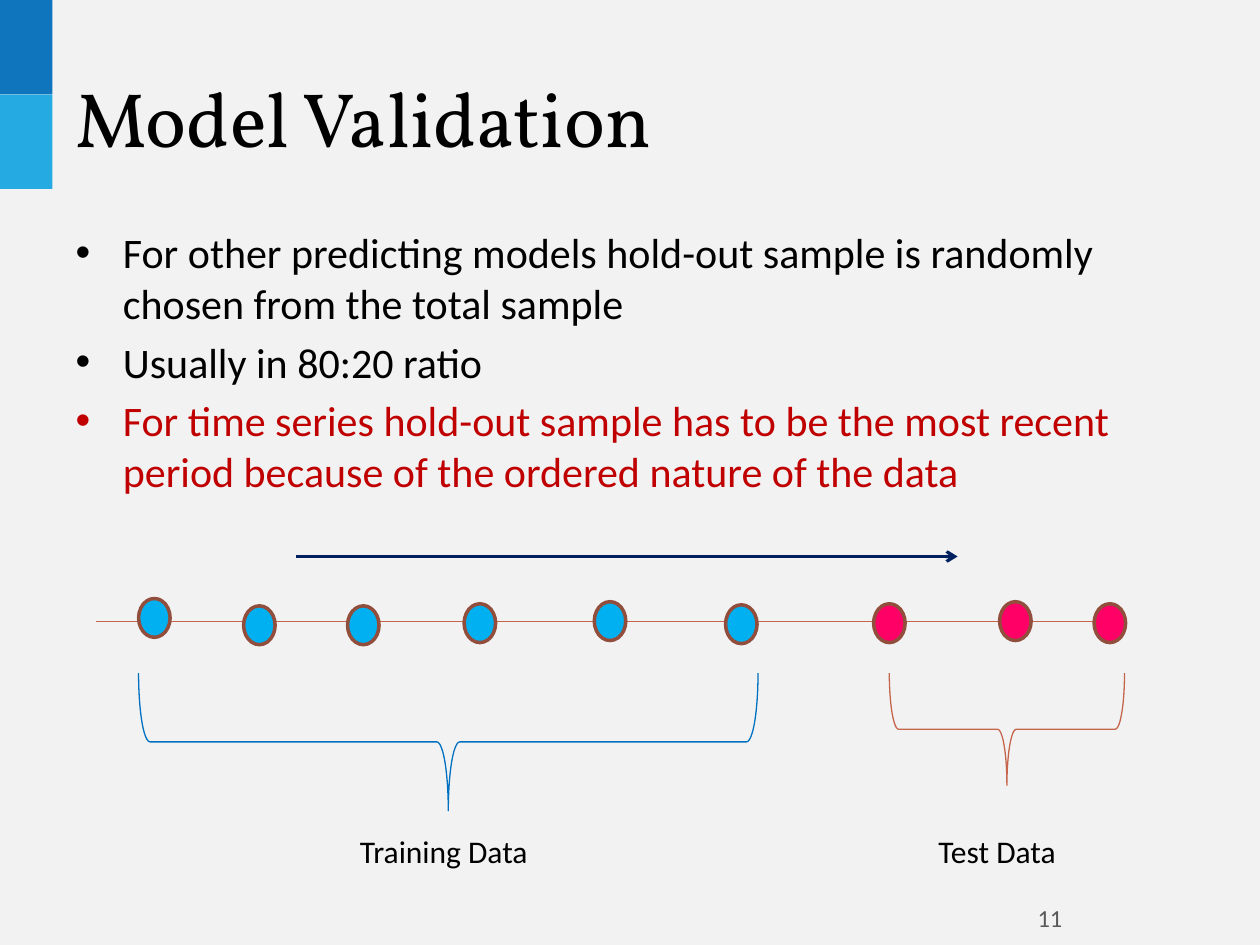
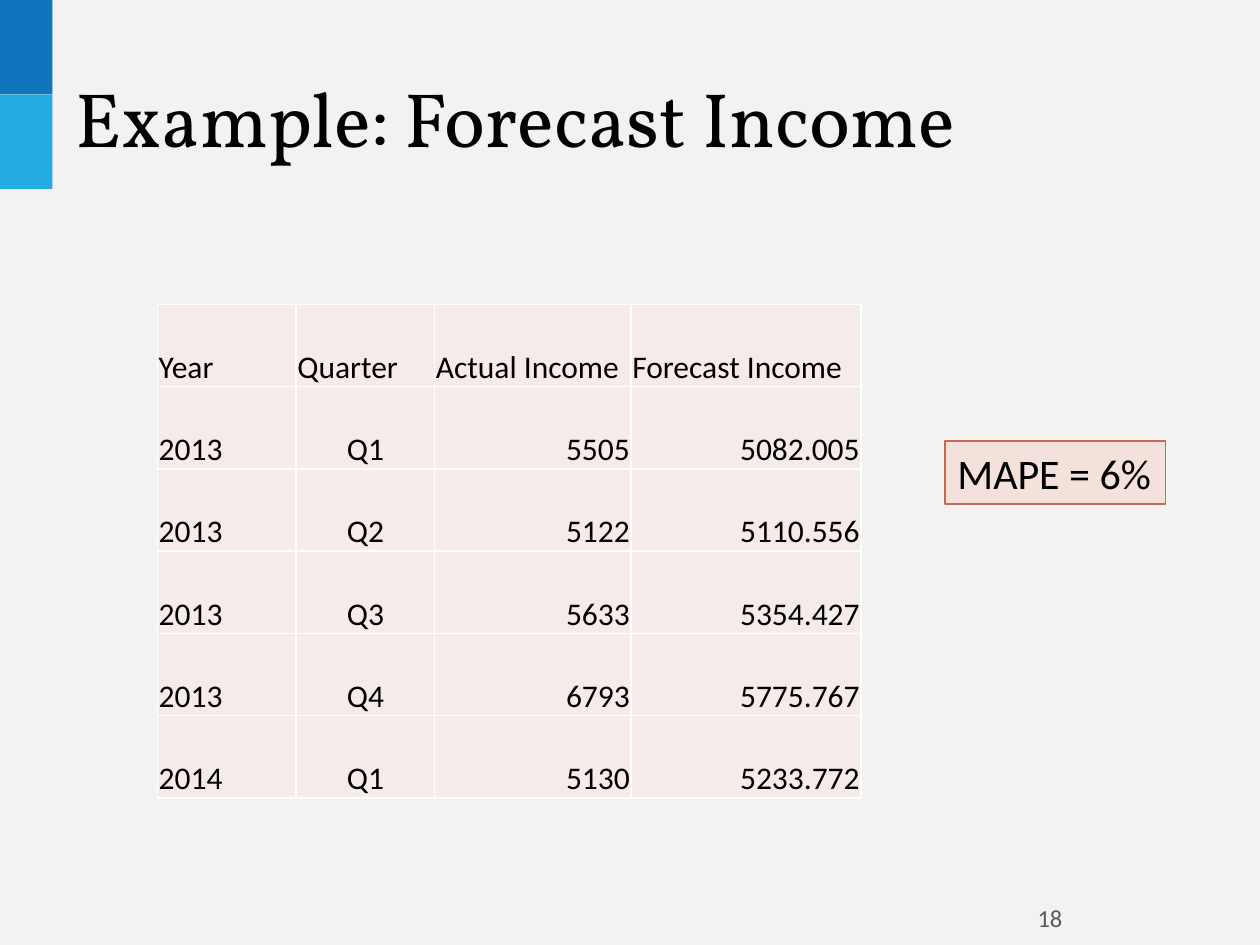
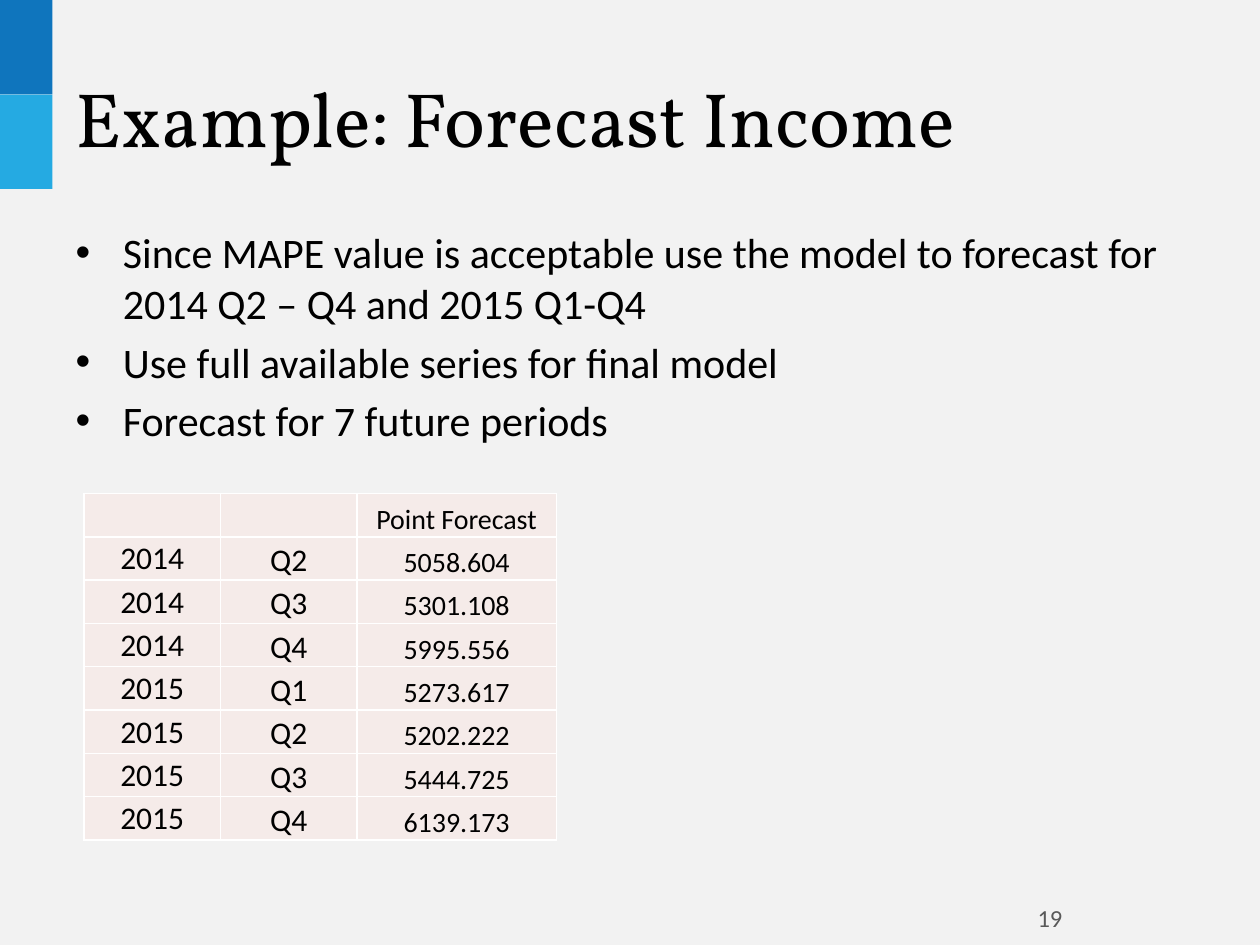
from pptx import Presentation
from pptx.dml.color import RGBColor
from pptx.enum.shapes import MSO_CONNECTOR, MSO_SHAPE
from pptx.enum.text import MSO_ANCHOR, MSO_AUTO_SIZE, PP_ALIGN
from pptx.oxml.ns import qn
from pptx.util import Inches, Pt
from lxml.etree import SubElement

BLACK = RGBColor(0x00, 0x00, 0x00)
WHITE = RGBColor(0xFF, 0xFF, 0xFF)
PAPER = RGBColor(0xF2, 0xF2, 0xF2)
GRAY = RGBColor(0x59, 0x59, 0x59)
BLUE = RGBColor(0x0F, 0x75, 0xBD)
SKY = RGBColor(0x25, 0xAA, 0xE2)
NAVY = RGBColor(0x00, 0x20, 0x60)
RED = RGBColor(0xC0, 0x00, 0x00)
RUST = RGBColor(0xC4, 0x65, 0x4C)
BROWN = RGBColor(0x92, 0x4E, 0x3C)
CYAN = RGBColor(0x00, 0xB0, 0xF0)
PINK = RGBColor(0xFF, 0x00, 0x66)
AZURE = RGBColor(0x00, 0x70, 0xC0)
BLUSH = RGBColor(0xF4, 0xE1, 0xDC)
EDGE = RGBColor(0xC6, 0x69, 0x51)
ROSE = RGBColor(0xF5, 0xEB, 0xE9)

SERIF, SANS = "Vollkorn", "Calibri"
COLS, ROWS = 120, 90
LEFT, MID, RIGHT = PP_ALIGN.LEFT, PP_ALIGN.CENTER, PP_ALIGN.RIGHT
LOW, HALF = MSO_ANCHOR.BOTTOM, MSO_ANCHOR.MIDDLE


class Deck:
    """Holds the style and the current slide; lengths are grid columns and rows."""

    def __init__(self):
        """Set the slide size and the shared background."""
        self.prs = Presentation()
        self.prs.slide_width, self.prs.slide_height = Inches(10), Inches(7.5)
        self.master = self.prs.slide_master
        fill = self.master.background.fill
        fill.solid()
        fill.fore_color.rgb = PAPER
        self.slide = None

    def x(self, cols):
        """Turn columns into a length."""
        return round(self.prs.slide_width * cols / COLS)

    def y(self, rows):
        """Turn rows into a length."""
        return round(self.prs.slide_height * rows / ROWS)

    def box(self, left, top, wide, high):
        """Turn a grid box into lengths."""
        return self.x(left), self.y(top), self.x(wide), self.y(high)

    def place(self, item, *area):
        """Move an element to a grid box."""
        item.left, item.top, item.width, item.height = self.box(*area)

    def font(self, para, size, color=BLACK, face=SANS, align=LEFT):
        """Set the font and alignment of a paragraph."""
        para.alignment = align
        para.font.name, para.font.size = face, Pt(size)
        para.font.color.rgb = color

    def page(self, title, number, layout):
        """Start a slide with its title and number."""
        first = self.slide is None
        self.slide = self.prs.slides.add_slide(self.prs.slide_layouts[layout])
        if first:
            self.bands()
        head = self.slide.shapes.title
        self.place(head, 6, 3.6, 108, 15)
        head.text_frame.text = title
        head.text_frame.vertical_anchor = HALF
        self.font(head.text_frame.paragraphs[0], 44, face=SERIF)
        self.text(number, (86, 85, 28, 4.8), 14, GRAY, MID, HALF)

    def bands(self):
        """Put the corner bands on the master."""
        for spot, color in enumerate((BLUE, SKY)):
            band = self.shape(MSO_SHAPE.RECTANGLE, (0, 9 * spot, 5, 9), color)
            self.master.shapes.element.insert(2 + spot, band.element)

    def bullets(self, items, high):
        """Fill the body with pairs of text and colour."""
        body = self.slide.placeholders[1]
        self.place(body, 6, 21, 108, high)
        frame = body.text_frame
        frame.text = "\n".join(words for words, _ in items)
        for para, (_, color) in zip(frame.paragraphs, items):
            self.font(para, 24, color)

    def text(self, words, area, size, color=BLACK, align=LEFT, anchor=MSO_ANCHOR.TOP):
        """Add a text box."""
        frame = self.slide.shapes.add_textbox(*self.box(*area)).text_frame
        frame.text, frame.word_wrap = words, True
        frame.vertical_anchor = anchor
        self.font(frame.paragraphs[0], size, color, align=align)
        return frame

    def label(self, words, area):
        """Add a caption that hugs its words."""
        frame = self.text(words, area, 18)
        frame.word_wrap = False
        frame.auto_size = MSO_AUTO_SIZE.SHAPE_TO_FIT_TEXT

    def shape(self, kind, area, fill=None, line=None, width=0.75):
        """Add a preset shape."""
        item = self.slide.shapes.add_shape(kind, *self.box(*area))
        item.shadow.inherit = False
        if fill is None:
            item.fill.background()
        else:
            item.fill.solid()
            item.fill.fore_color.rgb = fill
        if line is None:
            item.line.fill.background()
        else:
            item.line.color.rgb, item.line.width = line, Pt(width)
        return item

    def note(self, words, area):
        """Add a framed note."""
        frame = self.shape(MSO_SHAPE.RECTANGLE, area, BLUSH, EDGE).text_frame
        frame.text, frame.word_wrap = words, False
        frame.auto_size = MSO_AUTO_SIZE.SHAPE_TO_FIT_TEXT
        frame.vertical_anchor = MSO_ANCHOR.TOP
        self.font(frame.paragraphs[0], 24)

    def brace(self, left, top, wide, high, color):
        """Add a brace that points down and fills the box."""
        shift = (wide - high) / 2
        area = left + shift, top - shift, high, wide
        self.shape(MSO_SHAPE.LEFT_BRACE, area, line=color).rotation = 270

    def line(self, start, end, row, color, width, arrow=False):
        """Add a level line, with or without an arrowhead."""
        item = self.slide.shapes.add_connector(
            MSO_CONNECTOR.STRAIGHT, self.x(start), self.y(row), self.x(end), self.y(row))
        item.line.color.rgb, item.line.width = color, Pt(width)
        props = item.element.spPr
        SubElement(props, qn("a:effectLst"))
        if arrow:
            SubElement(props.find(qn("a:ln")), qn("a:tailEnd"), type="arrow")

    def table(self, data, area, cols, style):
        """Add a table; style gives size, alignment and anchor by row and column."""
        grid = self.slide.shapes.add_table(len(data), len(cols), *self.box(*area)).table
        grid.first_row = grid.horz_banding = False
        for col, wide in zip(grid.columns, cols):
            col.width = self.x(wide)
        for row, words in enumerate(data):
            for col, word in enumerate(words):
                size, align, anchor = style(row, col)
                self.cell(grid.cell(row, col), word, size, align, anchor)

    def cell(self, cell, word, size, align, anchor):
        """Fill and frame one table cell."""
        cell.text, cell.vertical_anchor = word, anchor
        cell.margin_left = cell.margin_right = cell.margin_top = Inches(0.01)
        cell.margin_bottom = 0
        self.font(cell.text_frame.paragraphs[0], size, align=align)
        props = cell._tc.get_or_add_tcPr()
        for side in ("lnL", "lnR", "lnT", "lnB"):
            edge = SubElement(props, qn(f"a:{side}"), w=str(Pt(1)))
            paint = SubElement(edge, qn("a:solidFill"))
            SubElement(paint, qn("a:srgbClr"), val=str(WHITE))
        cell.fill.solid()
        cell.fill.fore_color.rgb = ROSE


def split(deck):
    """Draw the slide on training and test data."""
    deck.page("Model Validation", "11", 1)
    deck.bullets([
        ("For other predicting models hold-out sample is randomly chosen from the total sample", BLACK),
        ("Usually in 80:20 ratio", BLACK),
        ("For time series hold-out sample has to be the most recent period"
         " because of the ordered nature of the data", RED),
    ], 35)
    deck.line(28.2, 91.2, 53, NAVY, 1.75, arrow=True)
    deck.line(9.1, 107.2, 59.2, RUST, 0.75)
    train = [(13.2, 57), (23.2, 57.7), (33.1, 57.7), (44.2, 57.5), (56.6, 57.3), (69.1, 57.6)]
    test = [(83.2, 57.5), (95.2, 57.3), (104.2, 57.5)]
    for dots, color in ((train, CYAN), (test, PINK)):
        for left, top in dots:
            deck.shape(MSO_SHAPE.FLOWCHART_CONNECTOR, (left, top, 3, 3.7), color, BROWN, 2)
    deck.brace(13.2, 64.1, 59, 13.1, AZURE)
    deck.brace(84.7, 64.1, 22.4, 10.7, RUST)
    deck.label("Training Data", (33.1, 78.7, 18.6, 4.8))
    deck.label("Test Data", (88.2, 78.7, 13.7, 4.8))


def check(deck):
    """Draw the slide that sets actual against forecast income."""
    deck.page("Example: Forecast Income", "18", 5)
    data = [
        ("Year", "Quarter", "Actual Income", "Forecast Income"),
        ("2013", "Q1", "5505", "5082.005"),
        ("2013", "Q2", "5122", "5110.556"),
        ("2013", "Q3", "5633", "5354.427"),
        ("2013", "Q4", "6793", "5775.767"),
        ("2014", "Q1", "5130", "5233.772"),
    ]
    aligns = LEFT, MID, RIGHT, RIGHT
    deck.table(data, (15, 29, 67, 47), (13.2, 13.2, 18.7, 21.9),
               lambda row, col: (18, aligns[col] if row else LEFT, LOW))
    deck.note("MAPE = 6%", (90, 42, 21, 6))


def ahead(deck):
    """Draw the slide with the forecast for later quarters."""
    deck.page("Example: Forecast Income", "19", 1)
    deck.bullets([
        ("Since MAPE value is acceptable use the model to forecast for 2014 Q2 – Q4 and 2015 Q1-Q4", BLACK),
        ("Use full available series for final model", BLACK),
        ("Forecast for 7 future periods", BLACK),
    ], 25)
    data = [
        ("", "", "Point Forecast"),
        ("2014", "Q2", "5058.604"),
        ("2014", "Q3", "5301.108"),
        ("2014", "Q4", "5995.556"),
        ("2015", "Q1", "5273.617"),
        ("2015", "Q2", "5202.222"),
        ("2015", "Q3", "5444.725"),
        ("2015", "Q4", "6139.173"),
    ]
    deck.table(data, (8, 47, 45, 33), (13, 13, 19),
               lambda row, col: (16 if col == 2 else 18, MID, LOW if col else HALF))


def main():
    """Build the slides and save them."""
    deck = Deck()
    for draw in (split, check, ahead):
        draw(deck)
    deck.prs.save("out.pptx")


if __name__ == "__main__":
    main()
